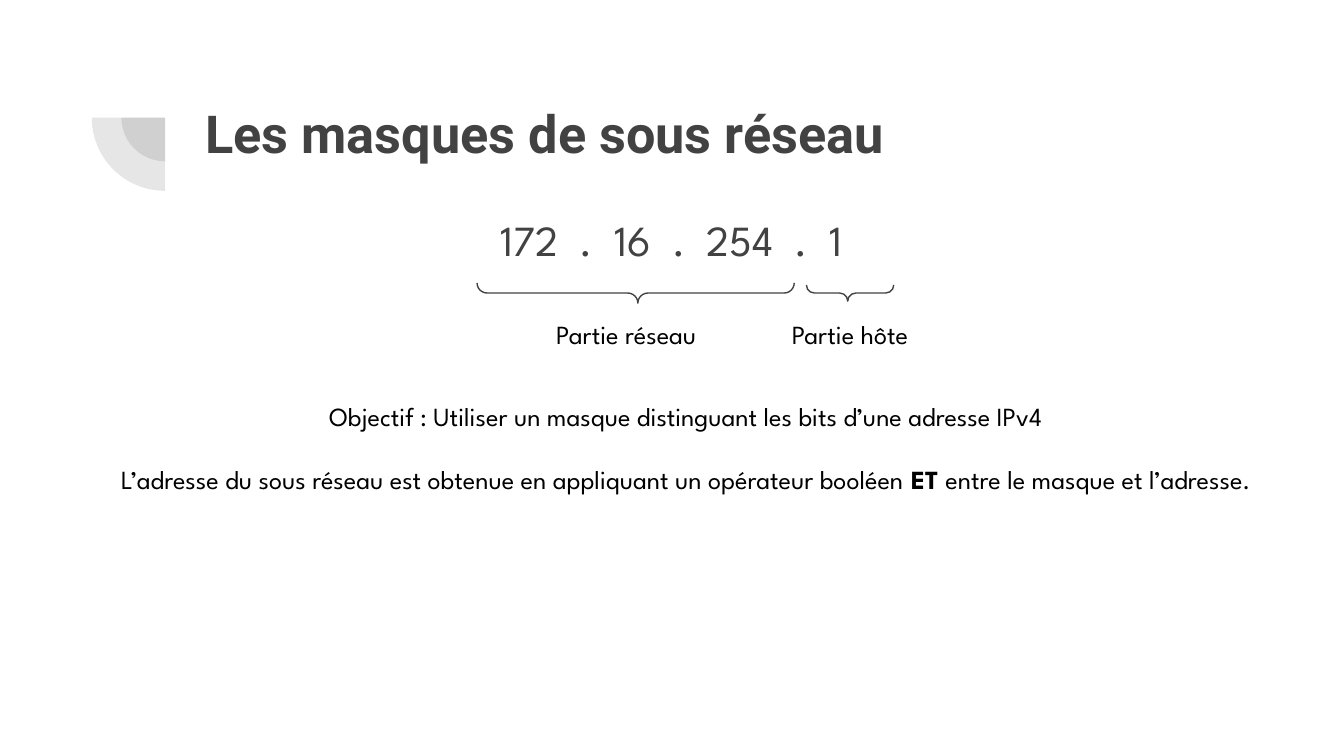
from dataclasses import dataclass

from lxml import etree
from pptx import Presentation
from pptx import util as u
from pptx.dml.color import RGBColor
from pptx.enum import shapes, text
from pptx.oxml.ns import qn

COLUMNS = 100
CELL = u.Inches(10) / COLUMNS  # square grid cell
ROWS = COLUMNS * 9 / 16
GREY, BLACK = "424242", "000000"
HEADING_FONT, BODY_FONT = "Roboto", "League Spartan"
LEFT, CENTER = text.PP_ALIGN.LEFT, text.PP_ALIGN.CENTER
PIE_CENTER = (12.28, 8.75)
PIE_RADII = (3.25, 5.45)


@dataclass(frozen=True)
class Box:
    """Position and size in grid columns and rows."""
    column: float
    row: float
    columns: float
    rows: float

    def lengths(self) -> list[int]:
        return [grid(value) for value in (self.column, self.row, self.columns, self.rows)]


@dataclass(frozen=True)
class Label:
    box: Box
    paragraphs: tuple[tuple[str, ...], ...]  # every second run is bold
    size: float = 14
    font: str = BODY_FONT
    color: str = BLACK
    bold: bool = False
    align: text.PP_ALIGN = CENTER
    line_spacing: float = 1.0
    space_before: float = 0


@dataclass(frozen=True)
class Brace:
    box: Box
    tip: float


LABELS = (
    Label(Box(14.3, 6.5, 76.9, 10.9), (("Les masques de sous réseau",),), size=28,
          font=HEADING_FONT, color=GREY, bold=True, align=LEFT),
    Label(Box(11.55, 15.2, 76.9, 5.7), (("172  .  16  .  254  .  1",),), size=23,
          color=GREY, line_spacing=0.95),
    Label(Box(40.4, 22.7, 13.8, 4.4), (("Partie réseau",),), align=LEFT),
    Label(Box(56.8, 22.7, 12.9, 4.4), (("Partie hôte",),)),
    Label(Box(7.6, 28.8, 86.9, 11.4), (
        ("Objectif : Utiliser un masque distinguant les bits d’une adresse IPv4",),
        ("L’adresse du sous réseau est obtenue en appliquant un opérateur booléen ",
         "ET ", "entre le masque et l’adresse."),
    ), space_before=16.9),
)
BRACES = (
    Brace(Box(46.55, 10, 1.5, 23.6), 0.507),
    Brace(Box(62.65, 18.55, 1.2, 6.5), 0.473),
)


def grid(cells: float) -> int:
    return round(cells * CELL)


def rgb(color: str) -> RGBColor:
    return RGBColor.from_string(color)


def apply_format(target, values: dict) -> None:
    for name, value in values.items():
        setattr(target, name, value)


def add_turned_shape(slide, kind, box: Box, adjustments: tuple[float, ...]):
    shape = slide.shapes.add_shape(kind, *box.lengths())
    shape.rotation = 270
    shape.shadow.inherit = False
    for index, value in enumerate(adjustments):
        shape.adjustments[index] = value
    return shape


def add_pie(slide, radius: float) -> None:
    column, row = PIE_CENTER
    box = Box(column - radius, row - radius, 2 * radius, 2 * radius)
    # Angles from 180 to 270 degrees, in units of 5/3 degree
    shape = add_turned_shape(slide, shapes.MSO_SHAPE.PIE, box, (108, 162))
    shape.line.fill.background()
    shape.fill.solid()
    shape.fill.fore_color.rgb = rgb(GREY)
    color = shape.fill._xPr.find(".//" + qn("a:srgbClr"))
    etree.SubElement(color, qn("a:alpha"), val="13000")


def add_brace(slide, brace: Brace) -> None:
    shape = add_turned_shape(slide, shapes.MSO_SHAPE.LEFT_BRACE, brace.box, (0.5, brace.tip))
    shape.fill.background()
    shape.line.color.rgb = rgb(GREY)
    shape.line.width = u.Pt(0.75)


def add_label(slide, label: Label) -> None:
    frame = slide.shapes.add_textbox(*label.box.lengths()).text_frame
    margins = ("margin_left", "margin_top", "margin_right", "margin_bottom")
    apply_format(frame, dict.fromkeys(margins, grid(1)) | {"word_wrap": True})
    for number, runs in enumerate(label.paragraphs):
        paragraph = frame.add_paragraph() if number else frame.paragraphs[0]
        apply_format(paragraph, {
            "alignment": label.align,
            "line_spacing": label.line_spacing,
            "space_before": u.Pt(label.space_before if number else 0),
        })
        for index, words in enumerate(runs):
            run = paragraph.add_run()
            run.text = words
            apply_format(run.font, {
                "name": label.font,
                "size": u.Pt(label.size),
                "bold": label.bold or index % 2 == 1,
            })
            run.font.color.rgb = rgb(label.color)


def main() -> None:
    presentation = Presentation()
    presentation.slide_width = grid(COLUMNS)
    presentation.slide_height = grid(ROWS)
    slide = presentation.slides.add_slide(presentation.slide_layouts[6])
    for radius in PIE_RADII:
        add_pie(slide, radius)
    for brace in BRACES:
        add_brace(slide, brace)
    for label in LABELS:
        add_label(slide, label)
    presentation.save("out.pptx")


if __name__ == "__main__":
    main()
